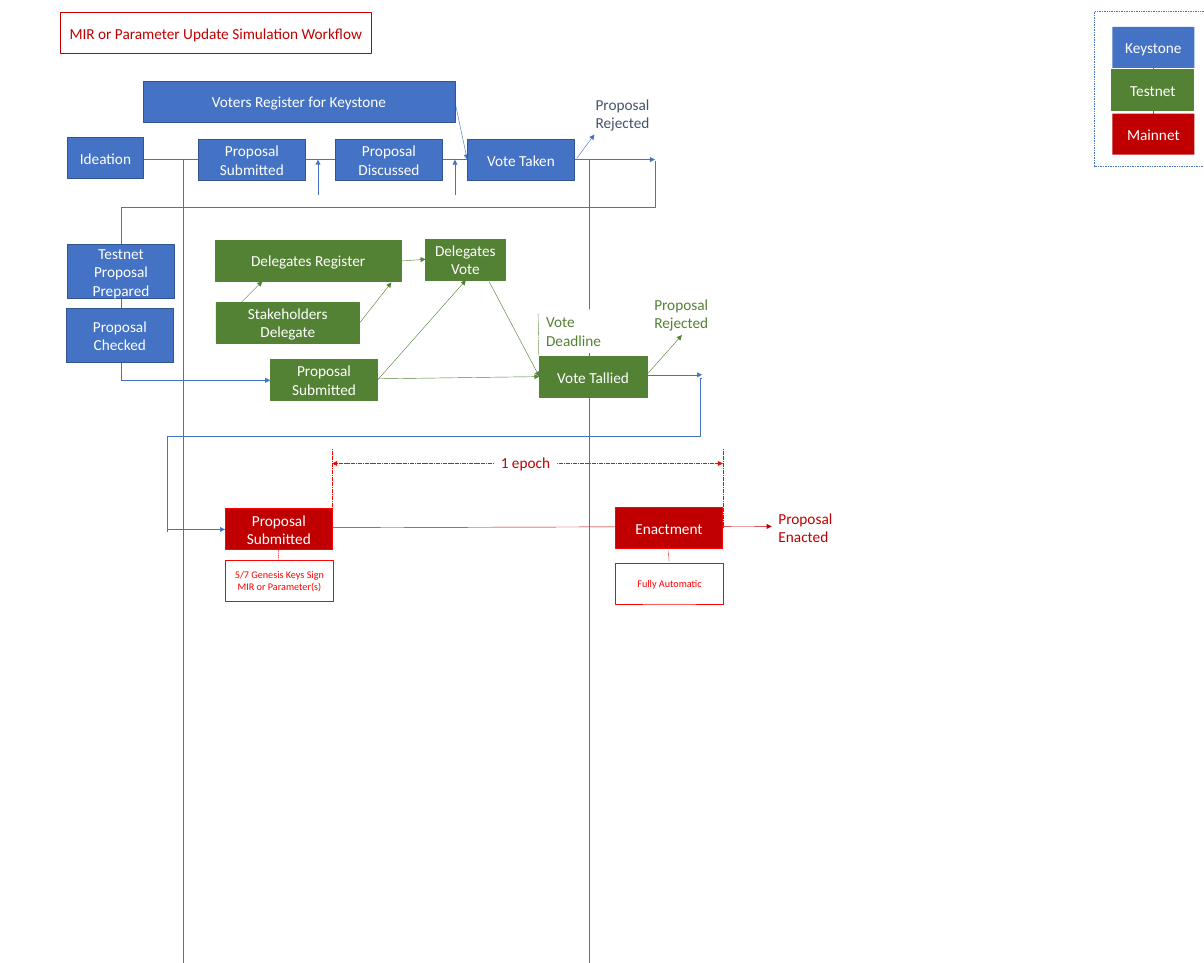
from lxml import etree
from pptx import Presentation
from pptx.dml.color import RGBColor
from pptx.enum.dml import MSO_LINE
from pptx.enum.shapes import MSO_CONNECTOR, MSO_SHAPE
from pptx.enum.text import MSO_ANCHOR, PP_ALIGN
from pptx.oxml.ns import qn
from pptx.util import Pt

STRAIGHT, ELBOW = MSO_CONNECTOR.STRAIGHT, MSO_CONNECTOR.ELBOW
RECTANGLE = MSO_SHAPE.RECTANGLE
DASH, DOT = MSO_LINE.SQUARE_DOT, MSO_LINE.ROUND_DOT
LEFT, CENTER = PP_ALIGN.LEFT, PP_ALIGN.CENTER
TOP, MIDDLE = MSO_ANCHOR.TOP, MSO_ANCHOR.MIDDLE

BLUE = RGBColor(0x44, 0x72, 0xC4)
NAVY = RGBColor(0x32, 0x54, 0x91)
GREEN = RGBColor(0x54, 0x82, 0x35)
CRIMSON = RGBColor(0xC0, 0x00, 0x00)
RED = RGBColor(0xFF, 0x00, 0x00)
SLATE = RGBColor(0x44, 0x54, 0x6A)
WHITE = RGBColor(0xFF, 0xFF, 0xFF)

PAGE_WIDTH, PAGE_HEIGHT = 1417.5, 1134
STEP_WIDTH, STEP_HEIGHT = 126.7, 48.2
FLOW_Y = 187.9

deck = Presentation()
deck.slide_width, deck.slide_height = Pt(PAGE_WIDTH), Pt(PAGE_HEIGHT)
page = deck.slides.add_slide(deck.slide_layouts[6])


def add_line(start, end, color, ends=("tailEnd",), dash=None, bend=None):
    kind = STRAIGHT if bend is None else ELBOW
    line = page.shapes.add_connector(kind, *(Pt(value) for value in start + end))
    line.line.color.rgb = color
    line.line.width = Pt(0.5)
    if dash is not None:
        line.line.dash_style = dash
    properties = line._element.spPr
    for name in ends:
        etree.SubElement(properties.find(qn("a:ln")), qn("a:" + name), type="triangle")
    etree.SubElement(properties, qn("a:effectLst"))
    if bend is not None:
        guides = properties.find(qn("a:prstGeom")).get_or_add_avLst()
        etree.SubElement(guides, qn("a:gd"), name="adj1", fmla=f"val {bend}")


def add_box(text, left, top, width=STEP_WIDTH, height=STEP_HEIGHT, fill=None, outline=None,
            color=WHITE, size=18, align=CENTER, anchor=MIDDLE, wrap=True, dash=None):
    box = page.shapes.add_shape(RECTANGLE, Pt(left), Pt(top), Pt(width), Pt(height))
    box.shadow.inherit = False
    if fill is None:
        box.fill.background()
    else:
        box.fill.solid()
        box.fill.fore_color.rgb = fill
    if outline is None:
        box.line.fill.background()
    else:
        box.line.color.rgb = outline
        box.line.width = Pt(1)
    if dash is not None:
        box.line.dash_style = dash
    frame = box.text_frame
    frame.word_wrap = wrap
    frame.vertical_anchor = anchor
    para = frame.paragraphs[0]
    para.text = text
    para.alignment = align
    for span in para.runs:
        span.font.name = "Calibri"
        span.font.size = Pt(size)
        span.font.color.rgb = color


arrows = [
    ((386.6, 621.4), (908.6, 619.9), CRIMSON),
    ((318.2, 447.8), (635, 443.5), GREEN),
    ((84.2, FLOW_Y), (771.1, FLOW_Y), BLUE),
    ((535.7, 120.2), (550.1, FLOW_Y), BLUE),
    ((374.4, 229.7), (374.4, FLOW_Y), BLUE),
    ((535.7, 229.7), (535.7, FLOW_Y), BLUE),
    ((679, 186.5), (699.8, 158.4), BLUE),
    ((142.6, 447.8), (318.2, 447.8), BLUE),
    ((761, 441.4), (826.6, 441.4), BLUE),
    ((197.3, 623.5), (265, 623.5), BLUE),
    ((576, 331.9), (635, 443.5), GREEN),
    ((284.4, 355.7), (308.9, 331.2), GREEN),
    ((424.1, 379.4), (460.8, 332.6), GREEN),
    ((472.3, 307.4), (501.1, 305.3), GREEN),
    ((444.2, 447.8), (548.6, 329.8), GREEN),
    ((763.2, 439.2), (802.8, 394.6), GREEN),
]
for start, end, color in arrows:
    add_line(start, end, color)

plain_lines = [
    ((215.3, FLOW_Y), (215.3, PAGE_HEIGHT)),
    ((694.1, FLOW_Y), (694.1, PAGE_HEIGHT)),
    ((142.6, 244.1), (142.6, 447.8)),
    ((197.3, 513.4), (197.3, 626.4)),
    ((1357.9, 79.9), (1357.9, 171.4)),
]
for start, end in plain_lines:
    add_line(start, end, BLUE, ends=())

add_line((771.1, 189.4), (142.6, 244.1), BLUE, ends=(), bend=0)
add_line((826.6, 445), (197.3, 513.4), BLUE, ends=(), bend=300)

dashed_lines = [
    ((391.7, 528.5), (391.7, 623.5), RED),
    ((851, 528.5), (851, 621.4), RED),
    ((327.6, 647.3), (328.3, 659.5), RED),
    ((787, 649.4), (787.7, 661), RED),
    ((633.6, 369.4), (634.3, 419), GREEN),
]
for start, end, color in dashed_lines:
    add_line(start, end, color, ends=(), dash=DASH)
add_line((391, 545.8), (851, 545.8), RED, ends=("headEnd", "tailEnd"), dash=DASH)

add_box("MIR or Parameter Update Simulation Workflow", 70.6, 15.1, 367.2,
        fill=WHITE, outline=CRIMSON, color=CRIMSON)

blue_steps = [
    ("Voters Register for Keystone", 168.5, 95.8, 367.2, STEP_HEIGHT),
    ("Ideation", 79.2, 162, 90, STEP_HEIGHT),
    ("Proposal Submitted", 233.3, 164.2, STEP_WIDTH, STEP_HEIGHT),
    ("Proposal Discussed", 394.6, 164.2, STEP_WIDTH, STEP_HEIGHT),
    ("Vote Taken", 550.1, 164.2, STEP_WIDTH, STEP_HEIGHT),
    ("Testnet\nProposal\nPrepared", 79.2, 288, STEP_WIDTH, 64),
    ("Proposal\nChecked", 77.8, 362.9, STEP_WIDTH, 64),
]
for step in blue_steps:
    add_box(*step, fill=BLUE, outline=NAVY)

green_steps = [
    ("Delegates Register", 253.4, 283, 218.9),
    ("Delegates Vote", 501.1, 281.5, 93.6),
    ("Stakeholders Delegate", 254.2, 355.7, 169.2),
    ("Proposal Submitted", 318.2, 423.4, STEP_WIDTH),
    ("Vote Tallied", 635, 419.8, STEP_WIDTH),
]
for step in green_steps:
    add_box(*step, fill=GREEN, outline=GREEN)

add_box("Proposal Submitted", 265, 599, fill=CRIMSON, outline=RED)
add_box("Enactment", 724.3, 597.6, fill=CRIMSON, outline=RED)
add_box("5/7 Genesis Keys Sign MIR or Parameter(s)", 265.7, 659.5,
        fill=WHITE, outline=RED, color=RED, size=12)
add_box("Fully Automatic", 725, 663.1, fill=WHITE, outline=RED, color=RED, size=12)

outcomes = [
    ("Proposal\nRejected", 694.1, 108.7, SLATE),
    ("Proposal\nRejected", 763.2, 344.2, GREEN),
    ("Proposal\nEnacted", 909.4, 596.2, CRIMSON),
]
for text, left, top, color in outcomes:
    add_box(text, left, top, 78.5, 51.1, color=color, align=LEFT, anchor=TOP, wrap=False)

add_box("1 epoch", 582.5, 529.9, 73.4, 28.8, fill=WHITE, color=CRIMSON, align=LEFT, anchor=TOP)
add_box("Vote\nDeadline", 635.8, 364.3, 98.6, 51.1, fill=WHITE, color=GREEN,
        align=LEFT, anchor=TOP)

add_box("", 1288.8, 13.7, 128.7, 182.9, outline=BLUE, dash=DOT)
legend = [
    ("Keystone", 1309.7, 31.7, BLUE, None),
    ("Testnet", 1309, 82.1, GREEN, GREEN),
    ("Mainnet", 1309.7, 133.9, CRIMSON, None),
]
for text, left, top, fill, outline in legend:
    add_box(text, left, top, 96.5, fill=fill, outline=outline)

deck.save("out.pptx")
